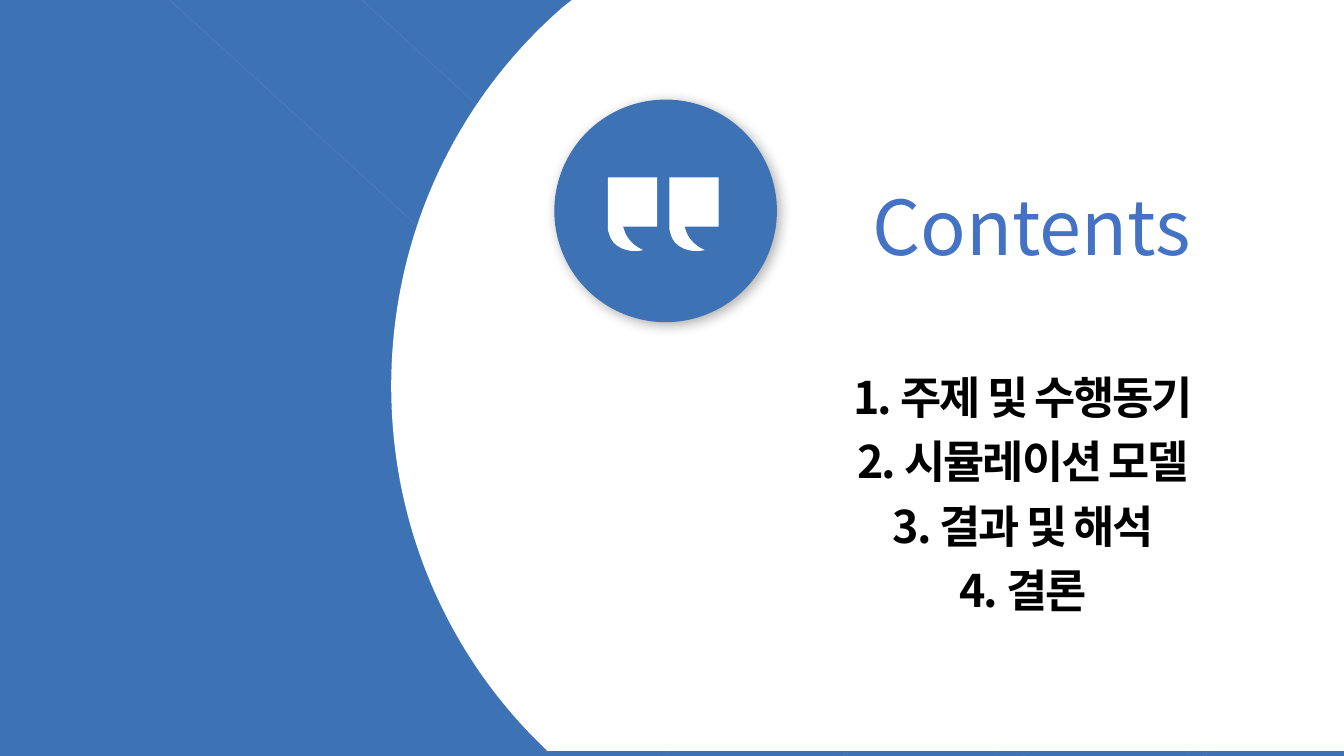
from lxml import etree
from pptx import Presentation
from pptx import util as u
from pptx.dml.color import RGBColor
from pptx.enum import shapes, text
from pptx.oxml import parse_xml
from pptx.oxml.ns import nsdecls, qn

FONT = "Noto Sans CJK KR"
BLUE, WHITE = "3D72B4", "FFFFFF"


def paint(fill, color):
    fill.solid()
    fill.fore_color.rgb = RGBColor.from_string(color)


def outline(tree, segments, dx=0, dy=0):
    """White shape in cm; a segment of one point is a line, of three a Bézier curve."""
    pts = [(u.Cm(x + dx), u.Cm(y + dy)) for seg in segments for x, y in seg]
    fb = tree.build_freeform(*pts[0])
    fb.add_line_segments(pts[1:], close=True)
    sp = fb.convert_to_shape()
    lines = iter(sp._element.findall(".//" + qn("a:lnTo")))
    for seg in segments[1:]:
        parts = [next(lines) for _ in seg]
        if len(parts) == 3:
            curve = etree.Element(qn("a:cubicBezTo"))
            parts[0].addprevious(curve)
            for part in parts:
                curve.append(part[0])
                part.getparent().remove(part)
    sp.shadow.inherit = False
    paint(sp.fill, WHITE)
    sp.line.fill.background()


prs = Presentation()
prs.slide_width, prs.slide_height = u.Cm(33.87), u.Cm(19.05)
s = prs.slides.add_slide(prs.slide_layouts[5])
paint(s.background.fill, BLUE)

# Faint diagonal lines, falling to the left and to the right
RUN, DROP = 20.9, 19.05
diagonals = [(33.87, -0.71 + i * 4.13, -RUN) for i in range(5)]
diagonals += [(x, -0.05, RUN) for x in (4.22, 9.07)]
for x, y, run in diagonals:
    ln = s.shapes.add_connector(shapes.MSO_CONNECTOR.STRAIGHT,
                                u.Cm(x), u.Cm(y), u.Cm(x + run), u.Cm(y + DROP))
    ln.line.width = u.Pt(0.1)
    paint(ln.line.fill, "D9D9D9")
    clr = ln.line._ln.find(".//" + qn("a:srgbClr"))
    etree.SubElement(clr, qn("a:alpha"), val="24000")
    etree.SubElement(ln._element.spPr, qn("a:effectLst"))

# White panel with a round left edge
outline(s.shapes, [
    [(33.87, 18.92)], [(13.79, 18.92)], [(13.39, 18.52)],
    [(11.2, 16.26), (9.86, 13.16), (9.86, 9.73)],
    [(9.86, 5.87), (11.56, 2.44), (14.22, 0.15)],
    [(14.58, -0.13)], [(33.87, -0.13)]])

# Badge with a soft shadow
badge = s.shapes.add_shape(shapes.MSO_SHAPE.OVAL,
                           u.Cm(13.97), u.Cm(2.51), u.Cm(5.61), u.Cm(5.61))
paint(badge.fill, BLUE)
badge.line.fill.background()
badge._element.spPr.append(parse_xml(
    f'<a:effectLst {nsdecls("a")}><a:outerShdw blurRad="114300" dist="38100" '
    'dir="2700000" algn="tl" rotWithShape="0"><a:srgbClr val="000000">'
    '<a:alpha val="31000"/></a:srgbClr></a:outerShdw></a:effectLst>'))

# Title, brought in front of the panel
title = s.shapes.title
badge._element.addnext(title._element)
title.left, title.top, title.width, title.height = (
    u.Cm(19.99), u.Cm(4.11), u.Cm(12.01), u.Cm(3.12))
title.text_frame.text = "Contents"

# Contents list
tb = s.shapes.add_textbox(u.Cm(20.14), u.Cm(6.58), u.Cm(11.3), u.Cm(11.43))
tb.text_frame.text = "1. 주제 및 수행동기\n2. 시뮬레이션 모델\n3. 결과 및 해석\n4. 결론"

for sp, size, color in ((title, 54, "4472C4"), (tb, 32, "000000")):
    tf = sp.text_frame
    tf.word_wrap = True
    tf.auto_size = text.MSO_AUTO_SIZE.NONE
    tf.vertical_anchor = text.MSO_ANCHOR.MIDDLE
    for p in tf.paragraphs:
        p.alignment = text.PP_ALIGN.CENTER
        p.font.size, p.font.name = u.Pt(size), FONT
        p.font.color.rgb = RGBColor.from_string(color)
for p in tb.text_frame.paragraphs:
    p.line_spacing = 1.2
    p.font.bold = True
    for r in p.runs:
        r.font._element.set("spc", "-150")
        etree.SubElement(r.font._element, qn("a:ea"), typeface=FONT)

# Quotation marks
quotes = s.shapes.add_group_shape()
mark = [[(1.24, 0)], [(0, 0)], [(0, 1.24)],
        [(0, 1.3), (0, 1.36), (0.03, 1.42)],
        [(0.1, 1.75), (0.51, 1.93), (0.89, 1.83)],
        [(0.64, 1.73), (0.46, 1.52), (0.41, 1.32)],
        [(0.38, 1.24)], [(1.24, 1.24)]]
for i in range(2):
    outline(quotes.shapes, mark, 15.32 + i * 1.55, 4.47)

prs.save("out.pptx")
